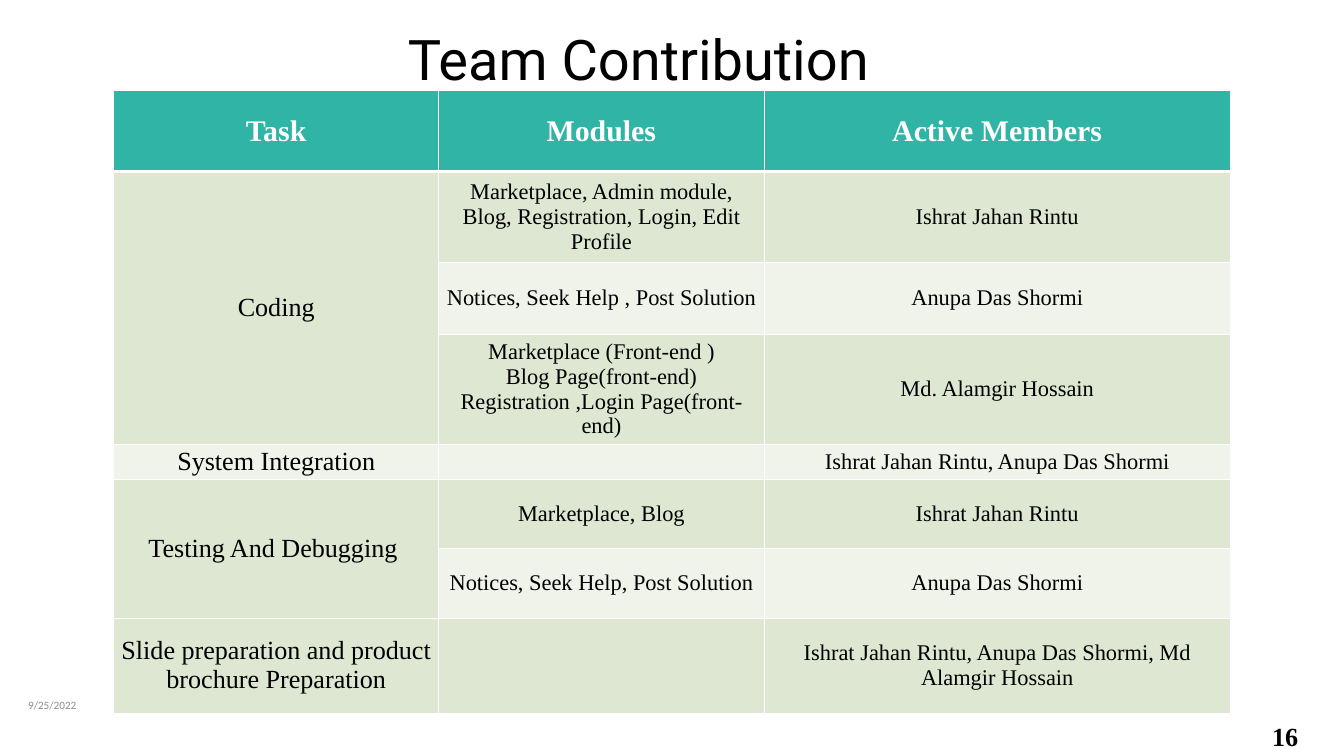
from lxml import etree
from pptx import Presentation
from pptx import util as u
from pptx.dml.color import RGBColor
from pptx.enum import text
from pptx.oxml import ns

TEAL = RGBColor(0x30, 0xB4, 0xA6)
SAGE = RGBColor(0xDE, 0xE7, 0xD1)
PALE = RGBColor(0xEF, 0xF3, 0xEA)
GRAY = RGBColor(0x8C, 0x8C, 0x8C)
BLACK = RGBColor(0, 0, 0)
WHITE = RGBColor(0xFF, 0xFF, 0xFF)
SERIF = "Times New Roman"
MID = text.MSO_ANCHOR.MIDDLE
TOP = text.MSO_ANCHOR.TOP
CENTER = text.PP_ALIGN.CENTER
LEFT = text.PP_ALIGN.LEFT

COLS = [4.84, 4.84, 6.94]
TALL = [1.2, 1.36, 1.06, 1.64, 0.53, 1.02, 1.04, 1.41]
ROWS = [
    ("Task", "Modules", "Active Members"),
    ("Coding", "Marketplace, Admin module, Blog, Registration, Login, Edit Profile",
     "Ishrat Jahan Rintu"),
    ("", "Notices, Seek Help , Post Solution", "Anupa Das Shormi"),
    ("", "Marketplace (Front-end )\nBlog Page(front-end)\n"
     "Registration ,Login Page(front-end)", "Md. Alamgir Hossain"),
    ("System Integration", "", "Ishrat Jahan Rintu, Anupa Das Shormi"),
    ("Testing And Debugging ", "Marketplace, Blog", "Ishrat Jahan Rintu"),
    ("", "Notices, Seek Help, Post Solution", "Anupa Das Shormi"),
    ("Slide preparation and product brochure Preparation", "",
     "Ishrat Jahan Rintu, Anupa Das Shormi, Md Alamgir Hossain"),
]
SPANS = [(1, 3), (5, 6)]  # first and last row of each merged task


class Deck:
    """Holds the style and the current slide."""

    def __init__(self, wide, high):
        self.prs = Presentation()
        self.prs.slide_width = u.Inches(wide)
        self.prs.slide_height = u.Inches(high)
        self.slide = self.prs.slides.add_slide(self.prs.slide_layouts[5])

    def put(self, frame, words, size, color=BLACK, font=SERIF, bold=False,
            align=CENTER, lead=None):
        for n, line in enumerate(words.split("\n")):
            para = frame.add_paragraph() if n else frame.paragraphs[0]
            para.alignment = align
            if lead:
                para.line_spacing = u.Pt(lead)
            run = para.add_run()
            run.text = line
            run.font.size = u.Pt(size)
            run.font.name = font
            run.font.bold = bold
            run.font.color.rgb = color

    def place(self, shape, at, words, size, anchor=TOP, inset=0.05, wrap=True, **look):
        shape.left, shape.top, shape.width, shape.height = map(u.Inches, at)
        frame = shape.text_frame
        frame.word_wrap = wrap
        frame.auto_size = text.MSO_AUTO_SIZE.NONE
        frame.vertical_anchor = anchor
        frame.margin_top = frame.margin_bottom = u.Inches(inset)
        self.put(frame, words, size, **look)

    def title(self, at, words, size, **look):
        self.place(self.slide.shapes.title, at, words, size, **look)

    def label(self, at, words, size, **look):
        box = self.slide.shapes.add_textbox(*map(u.Inches, at))
        self.place(box, at, words, size, **look)

    def border(self, cell, head):
        props = cell._tc.get_or_add_tcPr()
        for side in "LRTB":
            width = 3 if head and side == "B" else 1
            line = etree.SubElement(props, ns.qn("a:ln" + side), w=str(u.Pt(width)))
            fill = etree.SubElement(line, ns.qn("a:solidFill"))
            etree.SubElement(fill, ns.qn("a:srgbClr"), val=str(WHITE))

    def table(self, at, cols, tall, rows, spans):
        grid = self.slide.shapes.add_table(len(rows), len(cols), *map(u.Inches, at)).table
        for col, width in zip(grid.columns, cols):
            col.width = u.Inches(width)
        for row, height in zip(grid.rows, tall):
            row.height = u.Inches(height)
        for r, row in enumerate(rows):
            head = r == 0
            for c, words in enumerate(row):
                cell = grid.cell(r, c)
                self.border(cell, head)
                cell.fill.solid()
                cell.fill.fore_color.rgb = TEAL if head else SAGE if r % 2 else PALE
                cell.vertical_anchor = MID
                if words:
                    size = 32 if head else 24 if c else 28
                    self.put(cell.text_frame, words, size,
                             color=WHITE if head else BLACK, bold=head)
        for first, last in spans:
            grid.cell(first, 0).merge(grid.cell(last, 0))


def main():
    deck = Deck(20, 11.25)
    # Date and page number
    deck.label((0.32, 10.29, 2.33, 0.4), "9/25/2022", 12, anchor=MID,
               color=GRAY, font="Calibri", align=LEFT)
    deck.label((18.83, 10.59, 0.59, 0.6), "16", 28, wrap=False, bold=True, lead=39.2)
    # Who did what
    deck.table((1.69, 1.35, sum(COLS), sum(TALL)), COLS, TALL, ROWS, SPANS)
    # Heading
    deck.title((4.5, 0, 10, 1.29), "Team Contribution", 60, inset=0.08,
               font="Roboto", lead=92.8)
    deck.prs.save("out.pptx")


if __name__ == "__main__":
    main()
